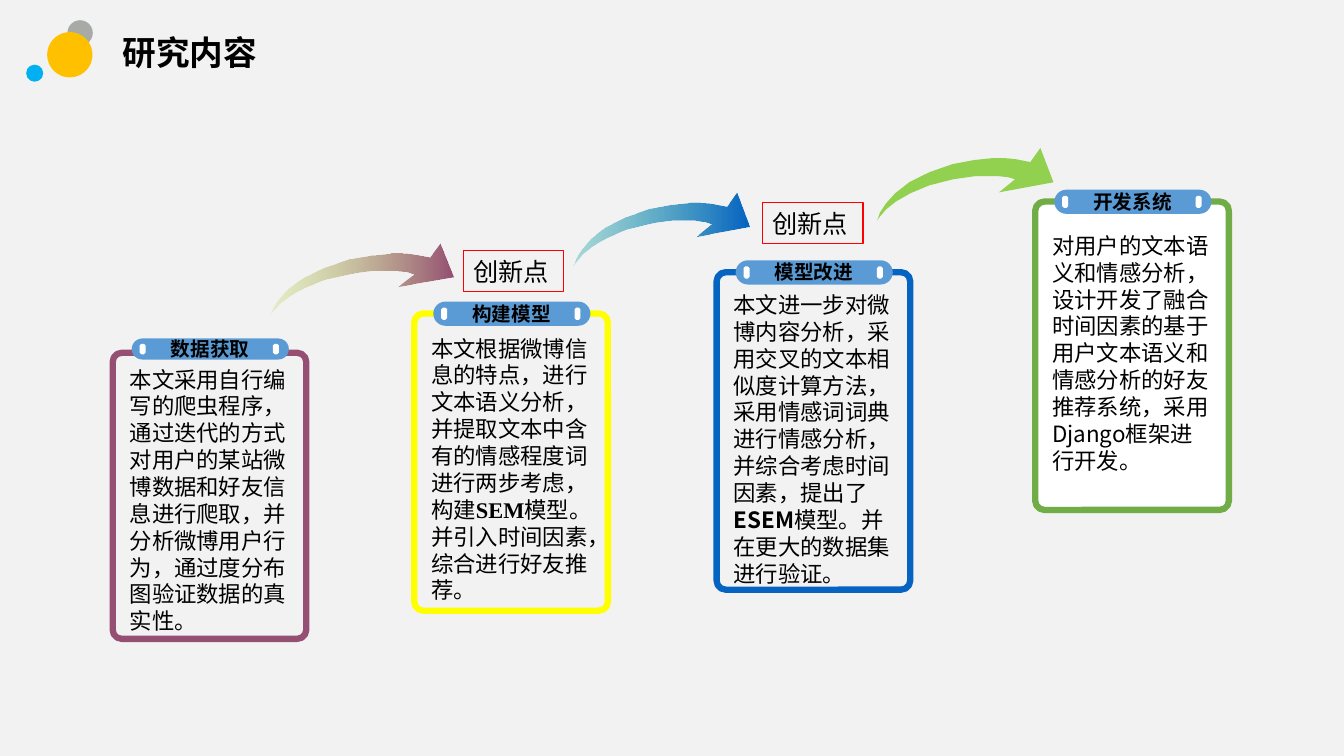
from lxml.etree import SubElement
from pptx import Presentation
from pptx.dml.color import RGBColor
from pptx.enum.shapes import MSO_SHAPE as Kind
from pptx.enum.text import MSO_ANCHOR as Anchor, PP_ALIGN as Align
from pptx.oxml.ns import qn
from pptx.util import Cm, Pt

SERIF, SANS, HAN = "Times New Roman", "Arial", "Noto Sans CJK SC"

# Outline of the swoosh arrow on a grid of 175 by 72
SWOOSH = [(0, 72), (3, 68), (9, 61), (19, 53), (33, 45), (52, 37), (76, 31),
          (97, 28), (121, 28), (130, 29), (137, 31), (121, 44), (175, 34),
          (162, 0), (152, 14), (137, 11), (126, 10), (115, 10), (96, 12),
          (75, 16), (52, 24), (32, 34), (18, 45), (9, 55), (3, 64), (1, 70)]


def color(code):
    return RGBColor.from_string(code)


class Deck:
    pill = "5B9BD5"
    ink = "000000"

    def __init__(self, wide, high, back):
        self.prs = Presentation()
        self.prs.slide_width, self.prs.slide_height = Cm(wide), Cm(high)
        self.slide = self.prs.slides.add_slide(self.prs.slide_layouts[5])
        self.slide.background.fill.solid()
        self.slide.background.fill.fore_color.rgb = color(back)

    def style(self, para, face, size, bold=False, align=Align.LEFT):
        para.alignment = align
        font = para.font
        font.name, font.size, font.bold = face, Pt(size), bold
        font.color.rgb = color(self.ink)

    def title(self, text, x, y, w, h):
        box = self.slide.shapes.title
        box.left, box.top, box.width, box.height = Cm(x), Cm(y), Cm(w), Cm(h)
        box.text_frame.text = text
        box.text_frame.vertical_anchor = Anchor.MIDDLE
        para = box.text_frame.paragraphs[0]
        para.line_spacing = 0.9
        self.style(para, SERIF, 24, True)

    def shape(self, kind, x, y, w, h, fill=None, line=None, thick=0, adj=None):
        item = self.slide.shapes.add_shape(kind, Cm(x), Cm(y), Cm(w), Cm(h))
        item.shadow.inherit = False
        if adj is not None:
            item.adjustments[0] = adj
        if fill:
            item.fill.solid()
            item.fill.fore_color.rgb = color(fill)
        else:
            item.fill.background()
        if line:
            item.line.color.rgb = color(line)
            item.line.width = Pt(thick)
        else:
            item.line.fill.background()
        return item

    def text(self, parts, x, y, w, h, face, size, strong=None, wrap=True,
             bold=False, align=Align.LEFT):
        """Every second part is bold, in the strong face."""
        box = self.slide.shapes.add_textbox(Cm(x), Cm(y), Cm(w), Cm(h))
        box.text_frame.word_wrap = wrap
        para = box.text_frame.paragraphs[0]
        self.style(para, face, size, bold, align)
        for i, part in enumerate(parts):
            run = para.add_run()
            run.text = part
            if i % 2:
                run.font.name, run.font.bold = strong, True

    def tag(self, text, x, y):
        box = self.shape(Kind.RECTANGLE, x, y, 2.53, 1.02, None, "FF0000", 0.75)
        box.text_frame.text = text
        box.text_frame.vertical_anchor = Anchor.MIDDLE
        self.style(box.text_frame.paragraphs[0], SANS, 18)

    def arrow(self, x, y, w, h, *tones):
        pen = self.slide.shapes.build_freeform(
            *SWOOSH[0], scale=(Cm(w) / 175, Cm(h) / 72))
        pen.add_line_segments(SWOOSH[1:], close=True)
        item = pen.convert_to_shape(Cm(x), Cm(y))
        item.shadow.inherit = False
        item.line.fill.background()
        if len(tones) == 1:
            item.fill.solid()
            item.fill.fore_color.rgb = color(tones[0])
            return
        item.fill.gradient()
        item.fill.gradient_angle = 0
        for stop, tone, place in zip(item.fill.gradient_stops, tones, (0, 1)):
            stop.color.rgb = color(tone)
            stop.position = place
        first = item._element.spPr.find(".//" + qn("a:srgbClr"))
        SubElement(first, qn("a:alpha")).set("val", "32000")

    def card(self, name, parts, x, y, h, line, drop, wide, face, strong=None,
             fill=None, bar=0.61, rise=0.3):
        # Frame
        self.shape(Kind.ROUNDED_RECTANGLE, x, y, 4.88, h, fill, line, 4.5, 0.047)
        # Name plate with two slots
        left, top = x + 0.48, y - rise
        self.shape(Kind.ROUNDED_RECTANGLE, left, top, 3.96, bar, self.pill, adj=0.5)
        for gap in (0.2, 3.56):
            self.shape(Kind.OCTAGON, left + gap, top + bar / 4, 0.15, bar / 2,
                       "FFFFFF", adj=0.293)
        self.text([name], left + 0.72, top + bar / 2 - 0.43, 2.51, 0.86, SERIF,
                  14, wrap=False, bold=True, align=Align.CENTER)
        # Body
        self.text(parts, x + 0.18, y + drop, wide, h - drop, face, 16, strong)


def main():
    deck = Deck(33.87, 19.05, "F2F2F2")

    # Header
    for x, y, size, fill in [(1.7, 0.51, 0.64, "A8AAA5"),
                             (1.19, 0.81, 1.14, "FFC000"),
                             (0.66, 1.63, 0.43, "00B0F0")]:
        deck.shape(Kind.OVAL, x, y, size, size, fill)
    deck.title("研究内容", 2.84, 0.71, 10.29, 1.35)

    # Steps
    deck.card("数据获取", ["本文采用自行编写的爬虫程序，通过迭代的方式对用户的某站微博数据和好友信息进行爬取，"
                       "并分析微博用户行为，通过度分布图验证数据的真实性。"],
              2.84, 8.89, 7.21, "954F72", 0.2, 4.65, SANS, bar=0.53, rise=0.36)
    deck.card("构建模型", ["本文根据微博信息的特点，进行文本语义分析，并提取文本中含有的情感程度词进行两步考虑，构建",
                       "SEM", "模型。并引入时间因素，综合进行好友推荐。"],
              10.44, 7.9, 7.49, "FFFF00", 0.41, 4.65, SANS, SERIF)
    deck.card("模型改进", ["本文进一步对微博内容分析，采用交叉的文本相似度计算方法，采用情感词词典进行情感分析，"
                       "并综合考虑时间因素，提出了", "ESEM", "模型。并在更大的数据集进行验证。"],
              18.06, 6.86, 8, "0563C1", 0.35, 4.52, HAN, HAN)
    deck.card("开发系统", ["对用户的文本语义和情感分析，设计开发了融合时间因素的基于用户文本语义和情感分析的"
                       "好友推荐系统，采用Django框架进行开发。"],
              26.09, 5.08, 7.77, "70AD47", 0.64, 4.52, HAN, fill="FFFFFF")

    # Arrows between the steps
    deck.arrow(6.81, 6.15, 4.62, 1.78, "C4E26C", "954F72")
    deck.arrow(14.45, 4.85, 4.45, 1.83, "17A2A2", "0563C1")
    deck.arrow(22.1, 3.73, 4.45, 1.83, "92D050")

    # Novelty tags
    deck.tag("创新点", 11.68, 6.32)
    deck.tag("创新点", 19.22, 5.11)

    deck.prs.save("out.pptx")


if __name__ == "__main__":
    main()
